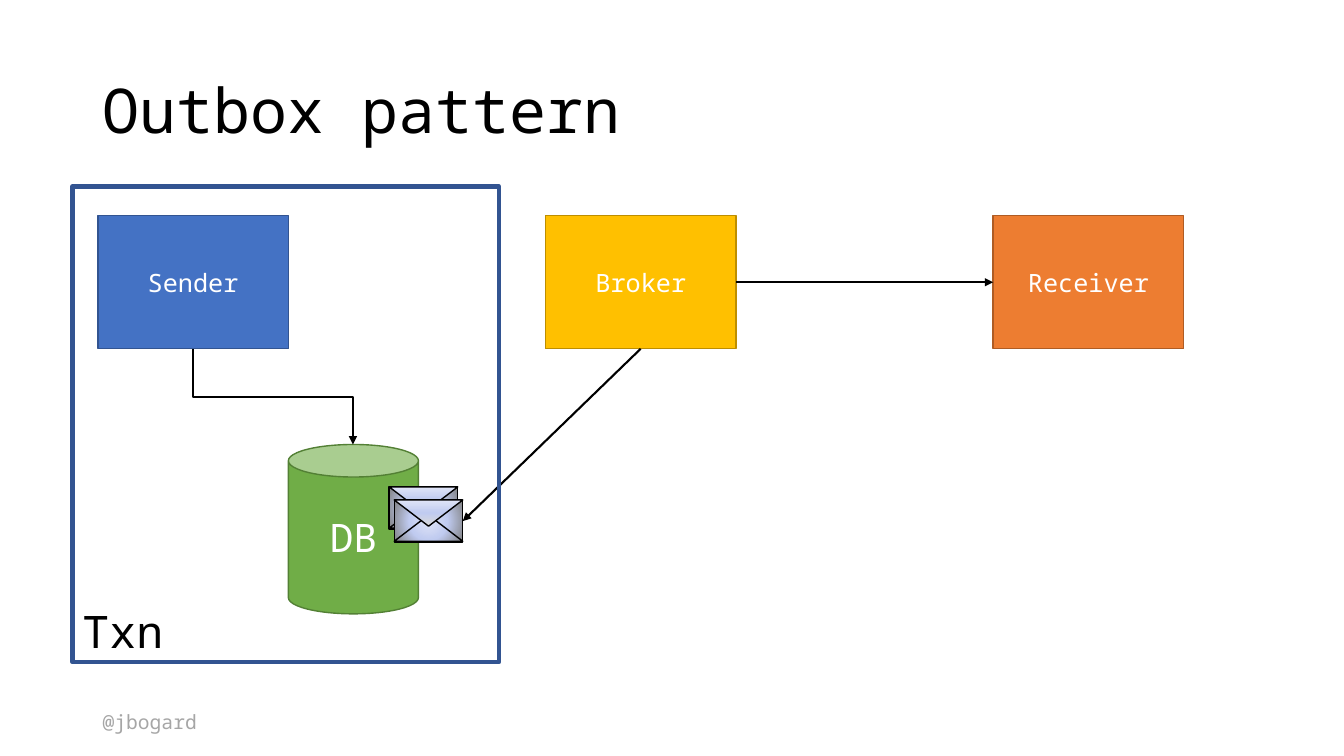
from lxml.etree import SubElement
from pptx import Presentation
from pptx.dml.color import RGBColor
from pptx.enum.shapes import MSO_CONNECTOR, MSO_SHAPE
from pptx.enum.text import MSO_ANCHOR, MSO_AUTO_SIZE, PP_ALIGN
from pptx.oxml import parse_xml
from pptx.oxml.ns import nsdecls, qn
from pptx.util import Pt

PX = 9144
FONT = "Noto Sans Mono"
COLORS = {
    "black": "000000", "white": "FFFFFF", "gray": "A6A6A6",
    "blue": "4472C4", "navy": "325491",
    "green": "70AD47", "dark green": "538035",
    "gold": "FFC000", "dark gold": "BD8E00",
    "orange": "ED7D31", "brown": "AF5C24",
    "paper": "E0E5F7", "paper blue": "C0CBF0",
    "paper shade": "808080", "flap shade": "D9D9D9",
}


def add_box(parent, kind, bounds, fill, line, width=1):
    box = parent.add_shape(kind, *[length * PX for length in bounds])
    box.shadow.inherit = False
    if fill:
        box.fill.solid()
        box.fill.fore_color.rgb = RGBColor.from_string(COLORS[fill])
    else:
        box.fill.background()
    box.line.color.rgb = RGBColor.from_string(COLORS[line])
    box.line.width = Pt(width)
    return box


def write_text(box, text, size, color, align, anchor):
    frame = box.text_frame
    frame.text = text
    frame.vertical_anchor = anchor
    para = frame.paragraphs[0]
    para.alignment = align
    span = para.runs[0]
    span.font.name = FONT
    span.font.size = Pt(size)
    span.font.color.rgb = RGBColor.from_string(COLORS[color])


deck = Presentation()
deck.slide_width = 1333 * PX
deck.slide_height = 750 * PX
page = deck.slides.add_slide(deck.slide_layouts[5])
shapes = page.shapes

handle = shapes.add_textbox(92 * PX, 699 * PX, 146 * PX, 34 * PX)
write_text(handle, "@jbogard", 14, "gray", PP_ALIGN.LEFT, MSO_ANCHOR.TOP)

title = shapes.title
title.left, title.top, title.width, title.height = 92 * PX, 40 * PX, 1150 * PX, 145 * PX
write_text(title, "Outbox pattern", 44, "black", PP_ALIGN.LEFT, MSO_ANCHOR.MIDDLE)
title.text_frame.auto_size = MSO_AUTO_SIZE.NONE
title.text_frame.paragraphs[0].line_spacing = 0.9

nodes = {}
for column, (name, fill, line) in enumerate([
    ("Sender", "blue", "navy"),
    ("Broker", "gold", "dark gold"),
    ("Receiver", "orange", "brown"),
]):
    bounds = (97 + column * 444, 214, 189, 132)
    nodes[name] = add_box(shapes, MSO_SHAPE.RECTANGLE, bounds, fill, line)
    write_text(nodes[name], name, 18, "white", PP_ALIGN.CENTER, MSO_ANCHOR.MIDDLE)

database = add_box(shapes, MSO_SHAPE.CAN, (286, 441, 129, 168), "green", "dark green")
write_text(database, "DB", 28, "white", PP_ALIGN.CENTER, MSO_ANCHOR.MIDDLE)

round_shade = '<a:path path="circle"><a:fillToRect l="50000" t="50000" r="50000" b="50000"/></a:path>'
upward_shade = '<a:lin ang="16200000" scaled="0"/>'
for left, top in [(386, 483), (391, 496)]:
    envelope = shapes.add_group_shape()
    paper = add_box(envelope.shapes, MSO_SHAPE.RECTANGLE, (left, top, 68, 42), None, "black")
    add_box(envelope.shapes, MSO_SHAPE.ISOSCELES_TRIANGLE, (left, top + 15, 68, 26), None, "black")
    flap = add_box(envelope.shapes, MSO_SHAPE.ISOSCELES_TRIANGLE, (left, top, 68, 26), None, "black")
    flap.rotation = 180
    for part, last, shade in [(paper, "paper shade", round_shade), (flap, "flap shade", upward_shade)]:
        stops = "".join(
            f'<a:gs pos="{place * 1000}"><a:srgbClr val="{COLORS[color]}"/></a:gs>'
            for place, color in [(0, "paper"), (48, "paper blue"), (100, last)]
        )
        gradient = parse_xml(
            f'<a:gradFill {nsdecls("a")} rotWithShape="1"><a:gsLst>{stops}</a:gsLst>{shade}</a:gradFill>'
        )
        properties = part.element.spPr
        properties.replace(properties.find(qn("a:noFill")), gradient)

arrows = []
for kind, source, source_side, target, target_side in [
    (MSO_CONNECTOR.ELBOW, nodes["Sender"], 2, database, 1),
    (MSO_CONNECTOR.STRAIGHT, nodes["Broker"], 2, paper, 3),
    (MSO_CONNECTOR.STRAIGHT, nodes["Broker"], 3, nodes["Receiver"], 1),
]:
    arrow = shapes.add_connector(kind, 0, 0, 0, 0)
    arrow.begin_connect(source, source_side)
    arrow.end_connect(target, target_side)
    arrow.line.color.rgb = RGBColor.from_string(COLORS["black"])
    arrow.line.width = Pt(1.5)
    SubElement(arrow.line._get_or_add_ln(), qn("a:tailEnd"), type="triangle")
    SubElement(arrow._element.spPr, qn("a:effectLst"))
    arrows.append(arrow)

elbow = arrows[0]
elbow.left, elbow.top, elbow.width, elbow.height = 223 * PX, 314 * PX, 95 * PX, 159 * PX
turn = elbow._element.spPr.find(qn("a:xfrm"))
turn.attrib.pop("flipV", None)
turn.set("rot", "16200000")
turn.set("flipH", "1")

transaction = add_box(shapes, MSO_SHAPE.RECTANGLE, (72, 185, 423, 472), None, "navy", 3)
write_text(transaction, "Txn", 32, "black", PP_ALIGN.LEFT, MSO_ANCHOR.BOTTOM)

deck.save("out.pptx")
